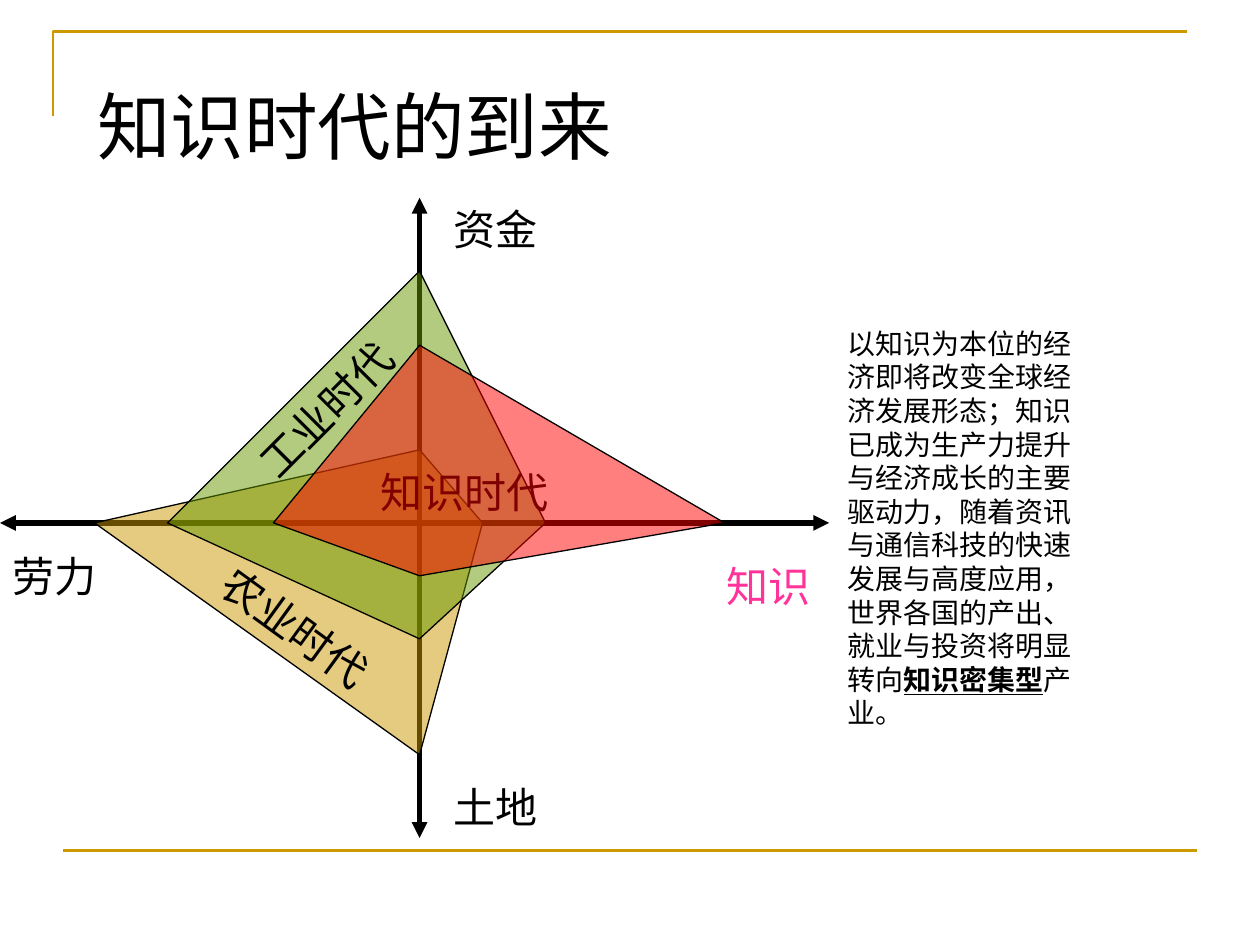
"""Build the slide on the arrival of the knowledge era."""
from dataclasses import dataclass

from lxml.etree import SubElement
from pptx import Presentation
from pptx.dml.color import RGBColor
from pptx.enum.shapes import MSO_CONNECTOR
from pptx.enum.text import MSO_ANCHOR, MSO_AUTO_SIZE, PP_ALIGN
from pptx.oxml.ns import qn
from pptx.util import Inches, Pt


@dataclass(frozen=True)
class Theme:
    """Colours, fonts and sizes of the slide."""
    ink: str = "000000"
    gold: str = "CC9900"
    green: str = "669900"
    red: str = "FF0000"
    pink: str = "FF3399"
    title_font: str = "Times New Roman"
    font: str = "Arial"
    title: int = 42
    label: int = 24
    body: int = 16
    frame: float = 1.5
    axis: float = 3
    outline: float = 0.75


THEME = Theme()
CENTER_X, CENTER_Y = 3.33, 4.15


def add_text(p, text, size=THEME.label, color=THEME.ink, font=THEME.font, strong=None):
    """Append a formatted run to a paragraph."""
    r = p.add_run()
    r.text = text
    r.font.name, r.font.size = font, Pt(size)
    r.font.color.rgb = RGBColor.from_string(color)
    r.font.bold = r.font.underline = strong


def add_box(s, left, top, width, height, wrap=False, inset=(0.1, 0.05), rotation=0):
    """Add a text box and return its first paragraph."""
    sp = s.shapes.add_textbox(*map(Inches, (left, top, width, height)))
    sp.rotation = rotation
    tf = sp.text_frame
    tf.word_wrap = wrap
    tf.auto_size = MSO_AUTO_SIZE.SHAPE_TO_FIT_TEXT
    tf.margin_left = tf.margin_right = Inches(inset[0])
    tf.margin_top = tf.margin_bottom = Inches(inset[1])
    return tf.paragraphs[0]


def add_label(s, text, left, top, color=THEME.ink, rotation=0):
    """Add a one-line label sized by its number of characters."""
    width = 0.2 + len(text) * THEME.label / 72
    p = add_box(s, left, top, width, 0.5, rotation=rotation)
    add_text(p, text, color=color)


def add_line(s, start, end, color, width, arrows=False):
    """Add a straight line, with arrowheads at both ends if asked."""
    sp = s.shapes.add_connector(MSO_CONNECTOR.STRAIGHT, *map(Inches, start + end))
    sp.line.color.rgb = RGBColor.from_string(color)
    sp.line.width = Pt(width)
    if arrows:
        ln = sp.line._get_or_add_ln()
        for tag in ("a:headEnd", "a:tailEnd"):
            SubElement(ln, qn(tag), type="triangle")
    SubElement(sp._element.spPr, qn("a:effectLst"))


def add_outline(s, points, line, width, fill=None, closed=True):
    """Add a freeform, half transparent when it has a fill."""
    first, *rest = [tuple(map(Inches, point)) for point in points]
    builder = s.shapes.build_freeform(*first)
    builder.add_line_segments(rest, close=closed)
    sp = builder.convert_to_shape()
    sp.shadow.inherit = False
    sp.line.color.rgb = RGBColor.from_string(line)
    sp.line.width = Pt(width)
    if fill is None:
        sp.fill.background()
        return
    sp.fill.solid()
    sp.fill.fore_color.rgb = RGBColor.from_string(fill)
    color = sp._element.spPr.find(qn("a:solidFill"))[0]
    SubElement(color, qn("a:alpha"), val="50000")


def add_era(s, color, labor, land, knowledge, capital):
    """Add an era as a kite reaching out along the four axes."""
    points = [(CENTER_X - labor, CENTER_Y), (CENTER_X, CENTER_Y + land),
              (CENTER_X + knowledge, CENTER_Y), (CENTER_X, CENTER_Y - capital)]
    add_outline(s, points, THEME.ink, THEME.outline, fill=color)


def add_title(s, text):
    """Place and format the title placeholder."""
    sp = s.shapes.title
    sp.left, sp.top, sp.width, sp.height = map(Inches, (0.67, 0.52, 8.47, 0.95))
    tf = sp.text_frame
    tf.vertical_anchor = MSO_ANCHOR.MIDDLE
    p = tf.paragraphs[0]
    p.alignment = PP_ALIGN.LEFT
    add_text(p, text, size=THEME.title, font=THEME.title_font)


def add_summary(s):
    """Add the explanatory paragraph beside the diagram."""
    p = add_box(s, 6.64, 2.55, 1.96, 3.29, wrap=True, inset=(0.09, 0.04))
    add_text(p, "以知识为本位的经济即将改变全球经济发展形态；知识已成为生产力提升"
                "与经济成长的主要驱动力，随着资讯与通信科技的快速发展与高度应用，"
                "世界各国的产出、就业与投资将明显转向", size=THEME.body)
    add_text(p, "知识密集型", size=THEME.body, strong=True)
    add_text(p, "产业。", size=THEME.body)


def main():
    """Build and save the slide."""
    prs = Presentation()
    prs.slide_width, prs.slide_height = Inches(10), Inches(7.5)
    s = prs.slides.add_slide(prs.slide_layouts[5])

    add_outline(s, [(0.42, 0.92), (0.42, 0.25), (9.42, 0.25)],
                THEME.gold, THEME.frame, closed=False)
    add_line(s, (0.5, 6.75), (9.5, 6.75), THEME.gold, THEME.frame)
    add_title(s, "知识时代的到来")

    add_line(s, (0, CENTER_Y), (6.58, CENTER_Y), THEME.ink, THEME.axis, arrows=True)
    add_line(s, (CENTER_X, 1.57), (CENTER_X, 6.65), THEME.ink, THEME.axis, arrows=True)
    add_era(s, THEME.gold, labor=2.58, land=1.84, knowledge=0.5, capital=0.58)
    add_era(s, THEME.green, labor=2, land=0.92, knowledge=1, capital=2)

    add_label(s, "劳力", 0, 4.32)
    add_label(s, "资金", 3.5, 1.57)
    add_label(s, "知识", 5.67, 4.4, color=THEME.pink)
    add_label(s, "土地", 3.5, 6.15)
    add_label(s, "农业时代", 1.58, 4.73, rotation=36)
    add_label(s, "工业时代", 1.82, 3, rotation=314.9)
    add_label(s, "知识时代", 2.92, 3.65)
    add_summary(s)
    add_era(s, THEME.red, labor=1.16, land=0.42, knowledge=2.42, capital=1.41)

    prs.save("out.pptx")


if __name__ == "__main__":
    main()
